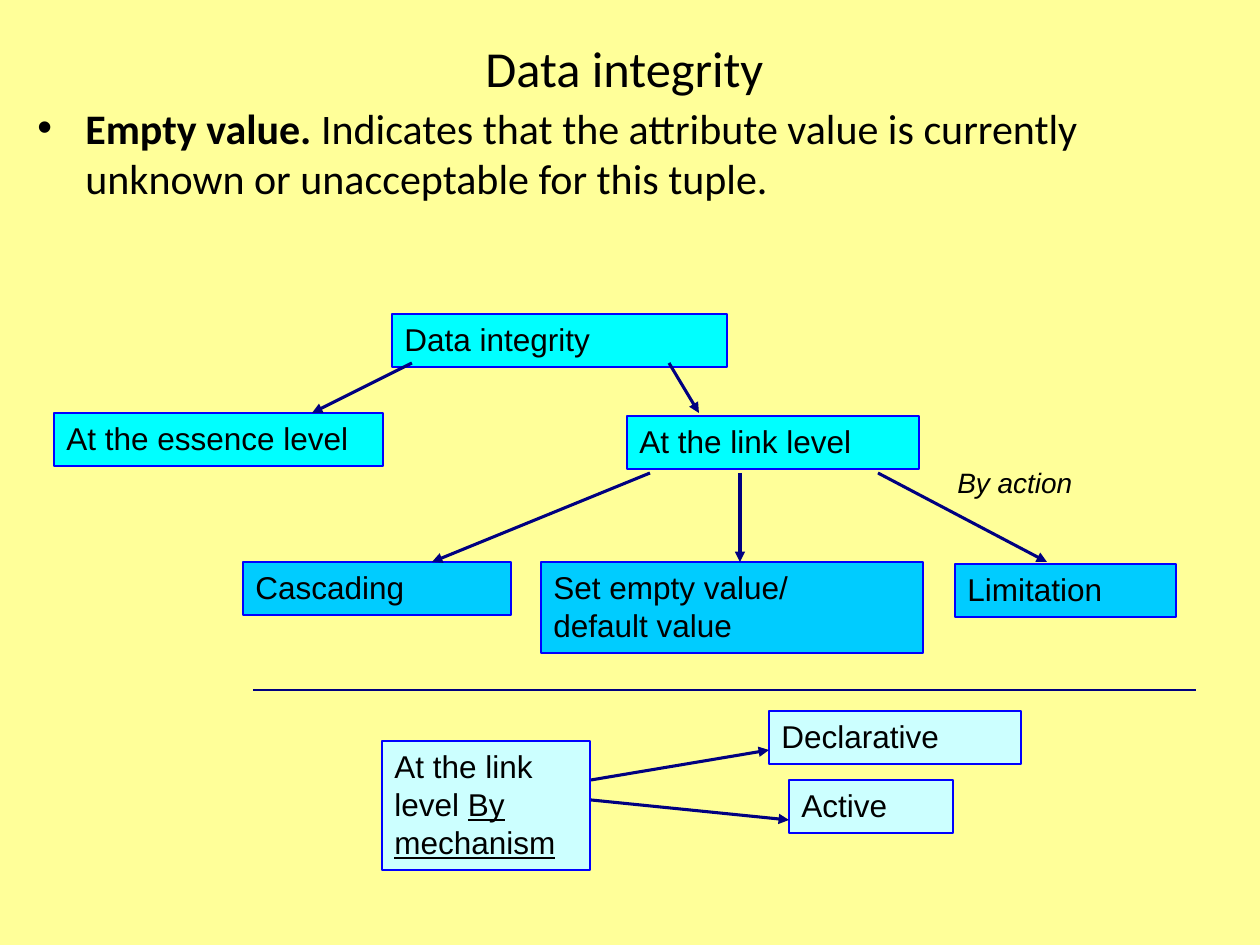
from lxml import etree
from pptx import Presentation
from pptx.dml.color import RGBColor
from pptx.enum.shapes import MSO_CONNECTOR, MSO_SHAPE
from pptx.enum.text import MSO_ANCHOR, MSO_AUTO_SIZE, PP_ALIGN
from pptx.oxml.ns import qn
from pptx.util import Emu, Pt

RECTANGLE = MSO_SHAPE.RECTANGLE
STRAIGHT = MSO_CONNECTOR.STRAIGHT
TOP, MIDDLE = MSO_ANCHOR.TOP, MSO_ANCHOR.MIDDLE
LEFT, CENTER = PP_ALIGN.LEFT, PP_ALIGN.CENTER
NO_AUTOFIT = MSO_AUTO_SIZE.NONE
TITLE_ONLY = 5
PX_PER_INCH = 126

BLACK = RGBColor(0x00, 0x00, 0x00)
YELLOW = RGBColor(0xFF, 0xFF, 0x99)
CYAN = RGBColor(0x00, 0xFF, 0xFF)
SKY = RGBColor(0x00, 0xCC, 0xFF)
PALE = RGBColor(0xCC, 0xFF, 0xFF)
BLUE = RGBColor(0x00, 0x00, 0xFF)
NAVY = RGBColor(0x00, 0x00, 0x80)

BOX_HEIGHT = 53
BOXES = [
    ("Data integrity", 392, 314, 335, BOX_HEIGHT, CYAN),
    ("At the essence level", 54, 413, 329, BOX_HEIGHT, CYAN),
    ("At the link level", 627, 416, 292, BOX_HEIGHT, CYAN),
    ("Cascading", 243, 562, 268, BOX_HEIGHT, SKY),
    ("Set empty value/\vdefault value", 541, 562, 382, 91, SKY),
    ("Limitation", 955, 564, 221, BOX_HEIGHT, SKY),
    ("Declarative", 769, 711, 252, BOX_HEIGHT, PALE),
    ("Active", 789, 780, 164, BOX_HEIGHT, PALE),
]
ARROWS = [
    (412, 363, 312, 413),
    (669, 363, 699, 413),
    (650, 473, 432, 562),
    (740, 473, 740, 562),
    (878, 473, 1047, 562),
    (591, 780, 769, 750),
    (591, 800, 789, 820),
]


def px(*lengths):
    """Turn pixel lengths into a list of EMU lengths."""
    return [Emu(round(length * 914400 / PX_PER_INCH)) for length in lengths]


def set_font(paragraph, name, size):
    """Give a paragraph its typeface, size and black colour."""
    paragraph.font.name = name
    paragraph.font.size = Pt(size)
    paragraph.font.color.rgb = BLACK


def set_title(slide, text):
    """Place and format the title placeholder."""
    title = slide.shapes.title
    title.left, title.top, title.width, title.height = px(63, 38, 1123, 58)
    frame = title.text_frame
    frame.text = text
    frame.auto_size = NO_AUTOFIT
    frame.vertical_anchor = MIDDLE
    paragraph = frame.paragraphs[0]
    paragraph.alignment = CENTER
    set_font(paragraph, "Calibri", 28.8)


def add_text(slide, text, bounds, name, size):
    """Add a wrapping text box and return its paragraph."""
    frame = slide.shapes.add_textbox(*px(*bounds)).text_frame
    frame.word_wrap = True
    paragraph = frame.paragraphs[0]
    paragraph.add_run().text = text
    set_font(paragraph, name, size)
    return paragraph


def add_bullet(paragraph, indent):
    """Give a paragraph a hanging round bullet."""
    properties = paragraph._p.get_or_add_pPr()
    offset = px(indent)[0]
    properties.set("marL", str(offset))
    properties.set("indent", str(-offset))
    etree.SubElement(properties, qn("a:buFont")).set("typeface", "Arial")
    etree.SubElement(properties, qn("a:buChar")).set("char", "•")


def add_box(slide, text, left, top, width, height, fill):
    """Add an outlined box with left-aligned text and return its paragraph."""
    box = slide.shapes.add_shape(RECTANGLE, *px(left, top, width, height))
    box.shadow.inherit = False
    box.fill.solid()
    box.fill.fore_color.rgb = fill
    box.line.color.rgb = BLUE
    box.line.width = Pt(1.5)
    frame = box.text_frame
    frame.text = text
    frame.word_wrap = True
    frame.vertical_anchor = TOP
    paragraph = frame.paragraphs[0]
    paragraph.alignment = LEFT
    set_font(paragraph, "Arial", 18)
    return paragraph


def add_line(slide, ends, width):
    """Add a straight navy line and return it."""
    connector = slide.shapes.add_connector(STRAIGHT, *px(*ends))
    connector.line.color.rgb = NAVY
    connector.line.width = Pt(width)
    etree.SubElement(connector._element.spPr, qn("a:effectLst"))
    return connector


def add_arrow(slide, ends):
    """Add a line with a triangular head at its end."""
    line = add_line(slide, ends, 1.75).line
    etree.SubElement(line._get_or_add_ln(), qn("a:tailEnd")).set("type", "triangle")


def main():
    """Build the data integrity slide."""
    presentation = Presentation()
    presentation.slide_width, presentation.slide_height = px(1260, 945)
    slide = presentation.slides.add_slide(presentation.slide_layouts[TITLE_ONLY])
    slide.background.fill.solid()
    slide.background.fill.fore_color.rgb = YELLOW

    set_title(slide, "Data integrity")
    definition = add_text(slide, "Empty value. ", (25, 96, 1171, 784), "Calibri", 24)
    definition.runs[0].font.bold = True
    definition.add_run().text = (
        "Indicates that the attribute value is currently "
        "unknown or unacceptable for this tuple."
    )
    definition.space_before = Pt(4.8)
    add_bullet(definition, 48)

    for box in BOXES:
        add_box(slide, *box)
    mechanism = add_box(slide, "At the link level ", 382, 741, 208, 129, PALE)
    run = mechanism.add_run()
    run.text = "By mechanism"
    run.font.underline = True

    for ends in ARROWS:
        add_arrow(slide, ends)
    add_line(slide, (253, 690, 1196, 690), 1.5)
    action = add_text(slide, "By action", (945, 459, 204, 47), "Arial", 16)
    action.font.italic = True

    presentation.save("out.pptx")


if __name__ == "__main__":
    main()
